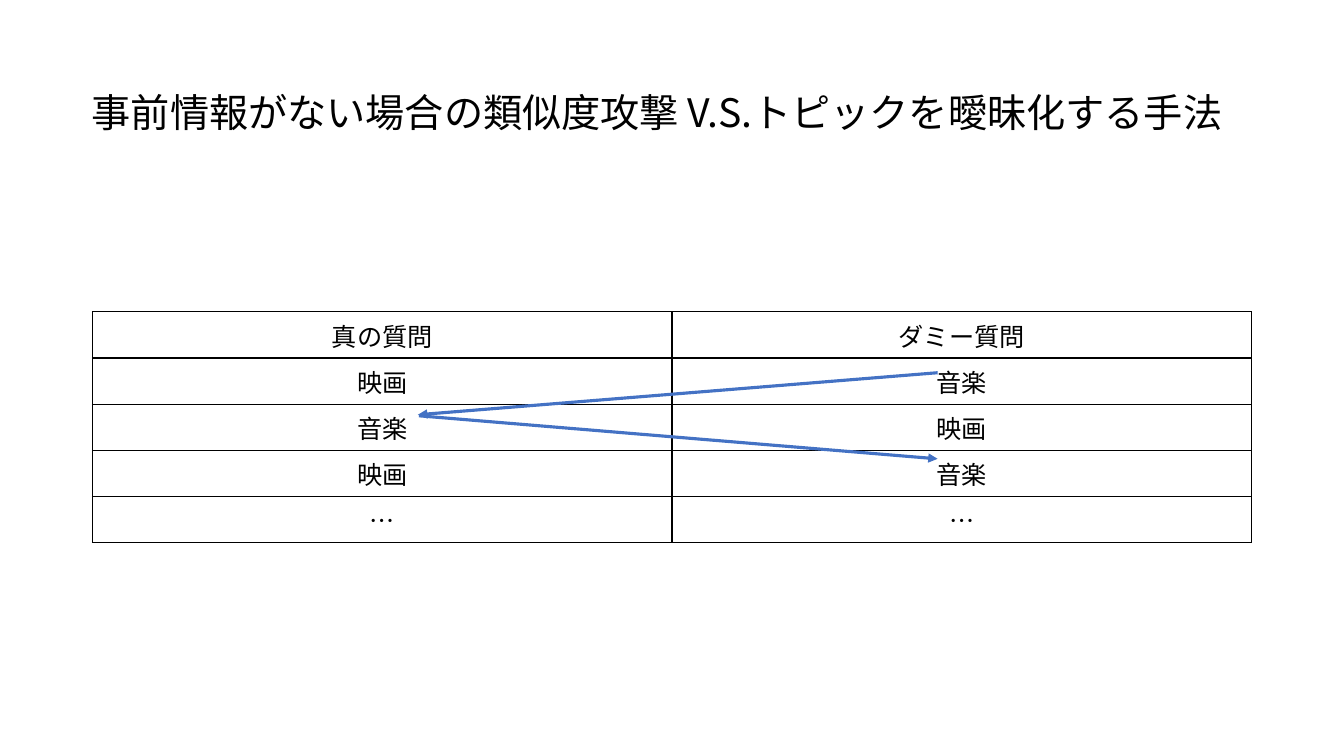
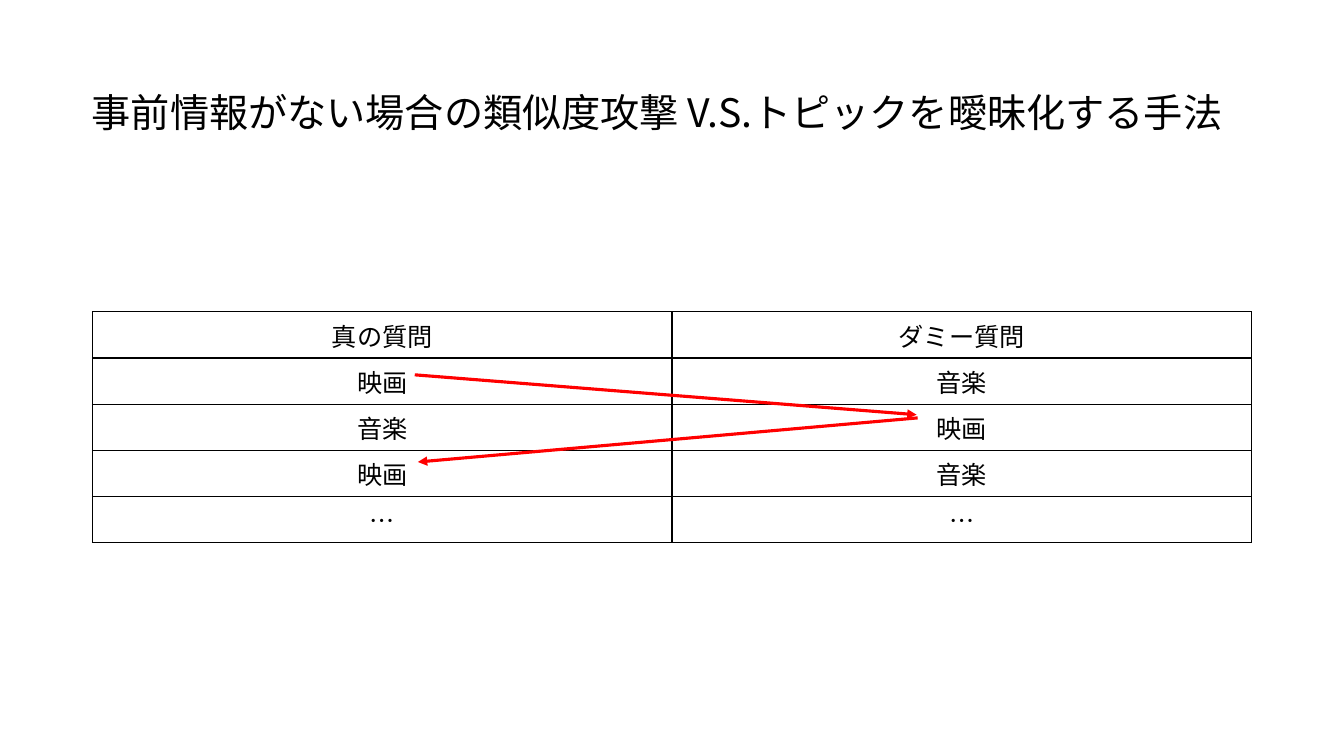
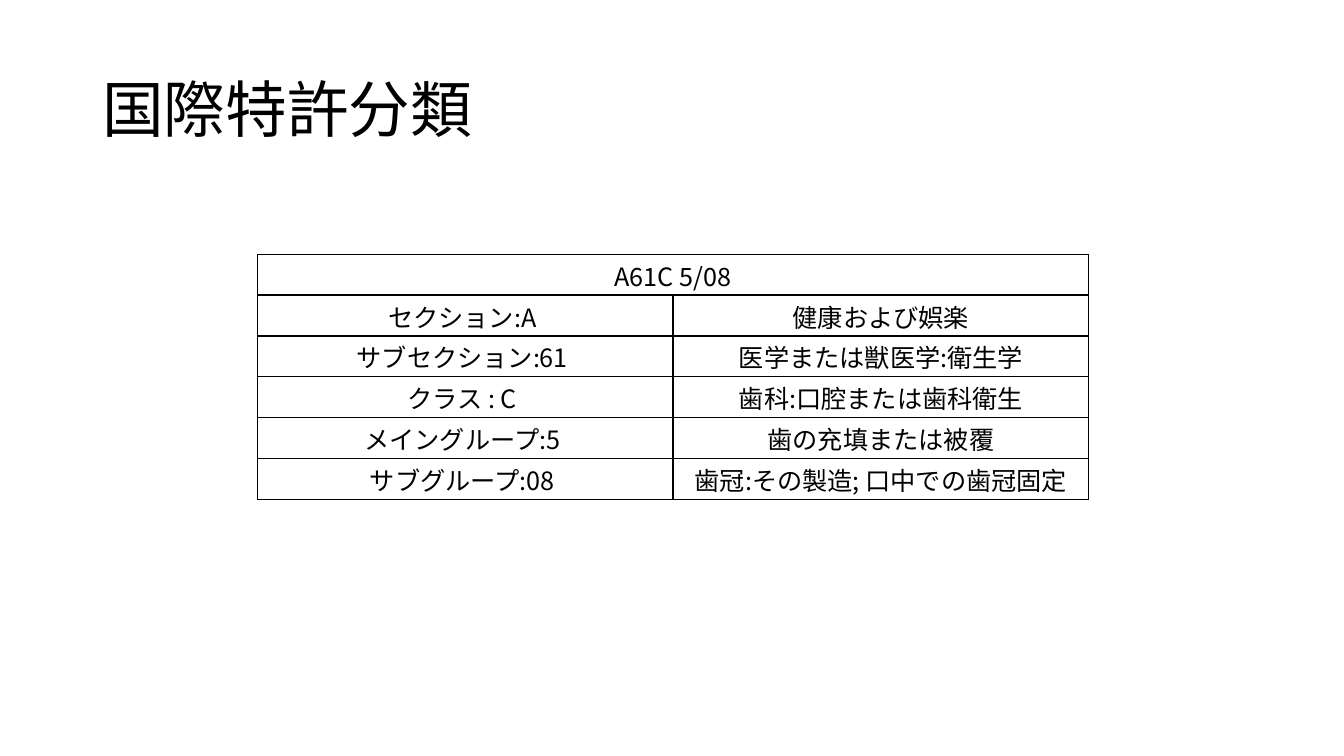
"""Build three slides on query obfuscation and the patent classification."""
import dataclasses
import typing

import lxml.etree
import pptx
import pptx.dml.color
import pptx.enum.shapes
import pptx.enum.text
import pptx.oxml.ns
import pptx.util

EMU_PER_PX = 9525
qn = pptx.oxml.ns.qn


@dataclasses.dataclass(frozen=True)
class Theme:
    """Colours, fonts and sizes shared by the slides."""
    ink: str = "000000"
    paper: str = "FFFFFF"
    blue: str = "4472C4"
    red: str = "FF0000"
    font: str = "Noto Sans CJK JP"
    grid_font: str = "Noto Sans CJK SC"
    topic_title: int = 28
    title: int = 44
    body: int = 18
    border: float = 1
    arrow: float = 2.25


THEME = Theme()


class Box(typing.NamedTuple):
    """Left, top, width and height in px."""
    left: int
    top: int
    width: int
    height: int


class Arrow(typing.NamedTuple):
    """Start and end of an arrow in px."""
    start: tuple[int, int]
    end: tuple[int, int]


@dataclasses.dataclass(frozen=True)
class Grid:
    """A two-column table of centred text."""
    left: int
    top: int
    column_width: int
    row_height: int
    rows: tuple[tuple[str, str], ...]
    font: str
    compact: bool = False


@dataclasses.dataclass(frozen=True)
class Page:
    """Everything shown on one slide."""
    title: str
    title_box: Box
    title_size: int
    grid: Grid
    arrow_color: str = THEME.blue
    arrows: tuple[Arrow, ...] = ()


TOPIC_GRID = Grid(88, 297, 552, 44, (
    ("真の質問", "ダミー質問"),
    ("映画", "音楽"),
    ("音楽", "映画"),
    ("映画", "音楽"),
    ("…", "…"),
), THEME.font)

PATENT_GRID = Grid(245, 242, 396, 39, (
    ("A61C 5/08", ""),
    ("セクション:A ", "健康および娯楽"),
    ("サブセクション:61 ", "医学または獣医学:衛生学"),
    ("クラス : C ", "歯科:口腔または歯科衛生"),
    ("メイングループ:5 ", "歯の充填または被覆"),
    ("サブグループ:08 ", "歯冠:その製造; 口中での歯冠固定"),
), THEME.grid_font, compact=True)


def topic_page(color: str, *arrows: Arrow) -> Page:
    """Describe a topic slide with its own arrows."""
    return Page("事前情報がない場合の類似度攻撃 V.S.トピックを曖昧化する手法",
                Box(78, 40, 1125, 139), THEME.topic_title, TOPIC_GRID, color, arrows)


PAGES = (
    topic_page(THEME.blue, Arrow((893, 355), (398, 395)), Arrow((399, 396), (893, 437))),
    topic_page(THEME.red, Arrow((395, 357), (873, 395)), Arrow((874, 398), (398, 440))),
    Page("国際特許分類", Box(88, 38, 1104, 139), THEME.title, PATENT_GRID),
)


def px(length: int) -> pptx.util.Emu:
    """Turn px into EMU."""
    return pptx.util.Emu(length * EMU_PER_PX)


def rgb(color: str) -> pptx.dml.color.RGBColor:
    """Turn a hex string into a colour."""
    return pptx.dml.color.RGBColor.from_string(color)


def format_runs(paragraph, size: int, font: str) -> None:
    """Give every run its size, colour and Latin and East Asian font."""
    for run in paragraph.runs:
        run.font.size = pptx.util.Pt(size)
        run.font.color.rgb = rgb(THEME.ink)
        run.font.name = font
    for latin in list(paragraph._p.iter(qn("a:latin"))):
        east_asian = lxml.etree.Element(qn("a:ea"), typeface=font)
        latin.addnext(east_asian)


def add_title(slide, page: Page) -> None:
    """Draw the title, centred vertically in its box."""
    shape = slide.shapes.add_textbox(*map(px, page.title_box))
    frame = shape.text_frame
    frame.word_wrap = True
    frame.vertical_anchor = pptx.enum.text.MSO_ANCHOR.MIDDLE
    frame.text = page.title
    paragraph = frame.paragraphs[0]
    paragraph.line_spacing = 0.9
    format_runs(paragraph, page.title_size, THEME.font)


def add_borders(cell) -> None:
    """Draw a line on all four sides of a cell."""
    properties = cell._tc.get_or_add_tcPr()
    for side in ("a:lnL", "a:lnR", "a:lnT", "a:lnB"):
        line = lxml.etree.SubElement(properties, qn(side), w=str(pptx.util.Pt(THEME.border)))
        fill = lxml.etree.SubElement(line, qn("a:solidFill"))
        lxml.etree.SubElement(fill, qn("a:srgbClr"), val=THEME.ink)


def fill_cell(cell, text: str, grid: Grid) -> None:
    """Write a cell and set its borders, fill and margins."""
    add_borders(cell)
    cell.fill.background()
    if grid.compact:
        cell.vertical_anchor = pptx.enum.text.MSO_ANCHOR.MIDDLE
        cell.margin_left = cell.margin_right = cell.margin_top = px(1)
        cell.margin_bottom = px(0)
    cell.text_frame.text = text
    paragraph = cell.text_frame.paragraphs[0]
    paragraph.alignment = pptx.enum.text.PP_ALIGN.CENTER
    format_runs(paragraph, THEME.body, grid.font)


def add_grid(slide, grid: Grid) -> None:
    """Draw the table, merging a row whose second text is empty."""
    count = len(grid.rows)
    box = Box(grid.left, grid.top, 2 * grid.column_width, count * grid.row_height)
    table = slide.shapes.add_table(count, 2, *map(px, box)).table
    table.first_row = table.horz_banding = False
    for row, texts in enumerate(grid.rows):
        for column, text in enumerate(texts):
            fill_cell(table.cell(row, column), text, grid)
        if not texts[1]:
            table.cell(row, 0).merge(table.cell(row, 1))


def add_arrow(slide, arrow: Arrow, color: str) -> None:
    """Draw a straight arrow with a triangular head."""
    connector = slide.shapes.add_connector(
        pptx.enum.shapes.MSO_CONNECTOR.STRAIGHT, *map(px, arrow.start + arrow.end))
    connector.line.color.rgb = rgb(color)
    connector.line.width = pptx.util.Pt(THEME.arrow)
    properties = connector.element.spPr
    lxml.etree.SubElement(properties.find(qn("a:ln")), qn("a:tailEnd"), type="triangle")
    lxml.etree.SubElement(properties, qn("a:effectLst"))


def add_page(presentation, page: Page) -> None:
    """Add one slide with its title, table and arrows."""
    slide = presentation.slides.add_slide(presentation.slide_layouts[6])
    slide.background.fill.solid()
    slide.background.fill.fore_color.rgb = rgb(THEME.paper)
    add_title(slide, page)
    add_grid(slide, page.grid)
    for arrow in page.arrows:
        add_arrow(slide, arrow, page.arrow_color)


def main() -> None:
    """Build and save the presentation."""
    presentation = pptx.Presentation()
    presentation.slide_width = px(1280)
    presentation.slide_height = px(720)
    for page in PAGES:
        add_page(presentation, page)
    presentation.save("out.pptx")


if __name__ == "__main__":
    main()
